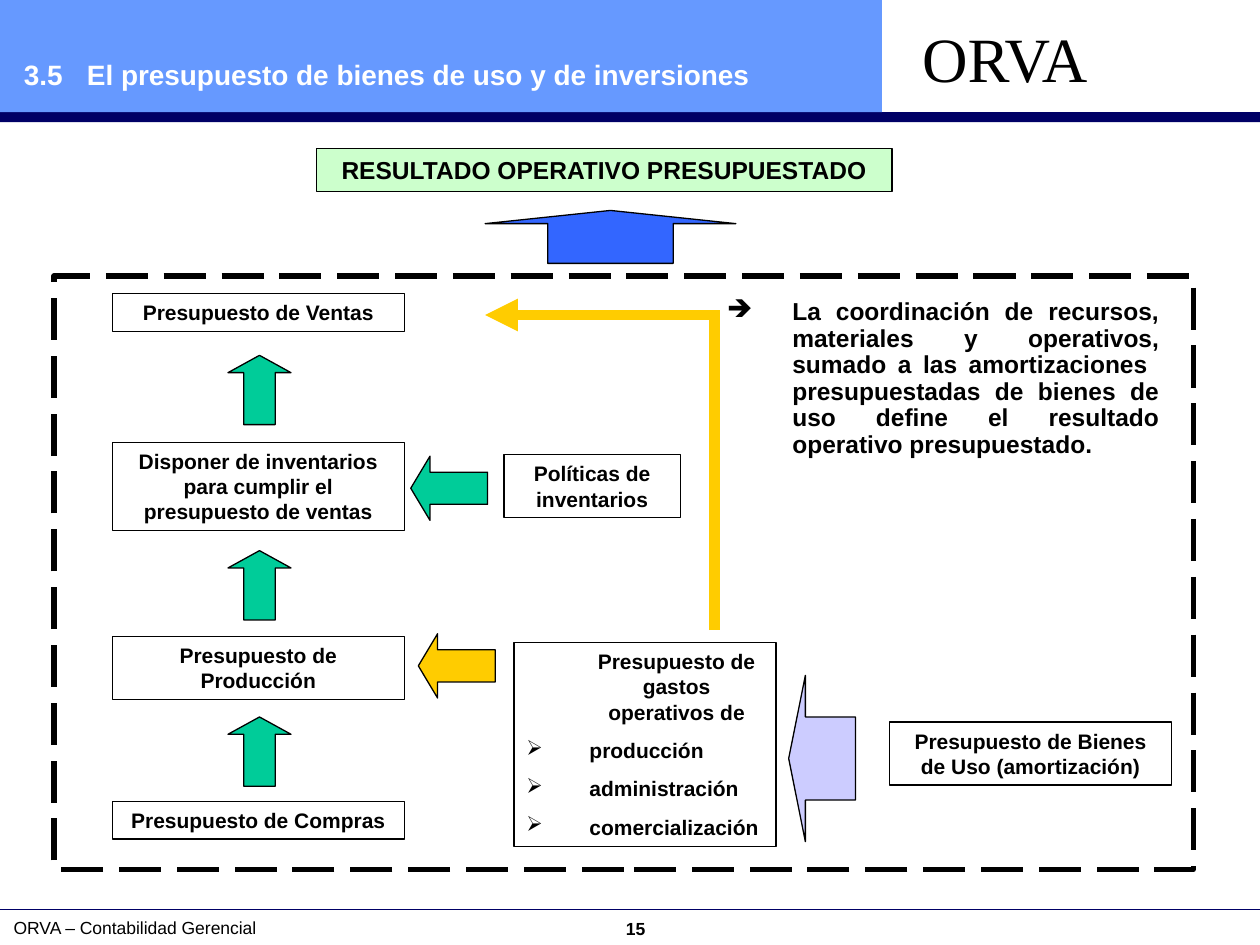
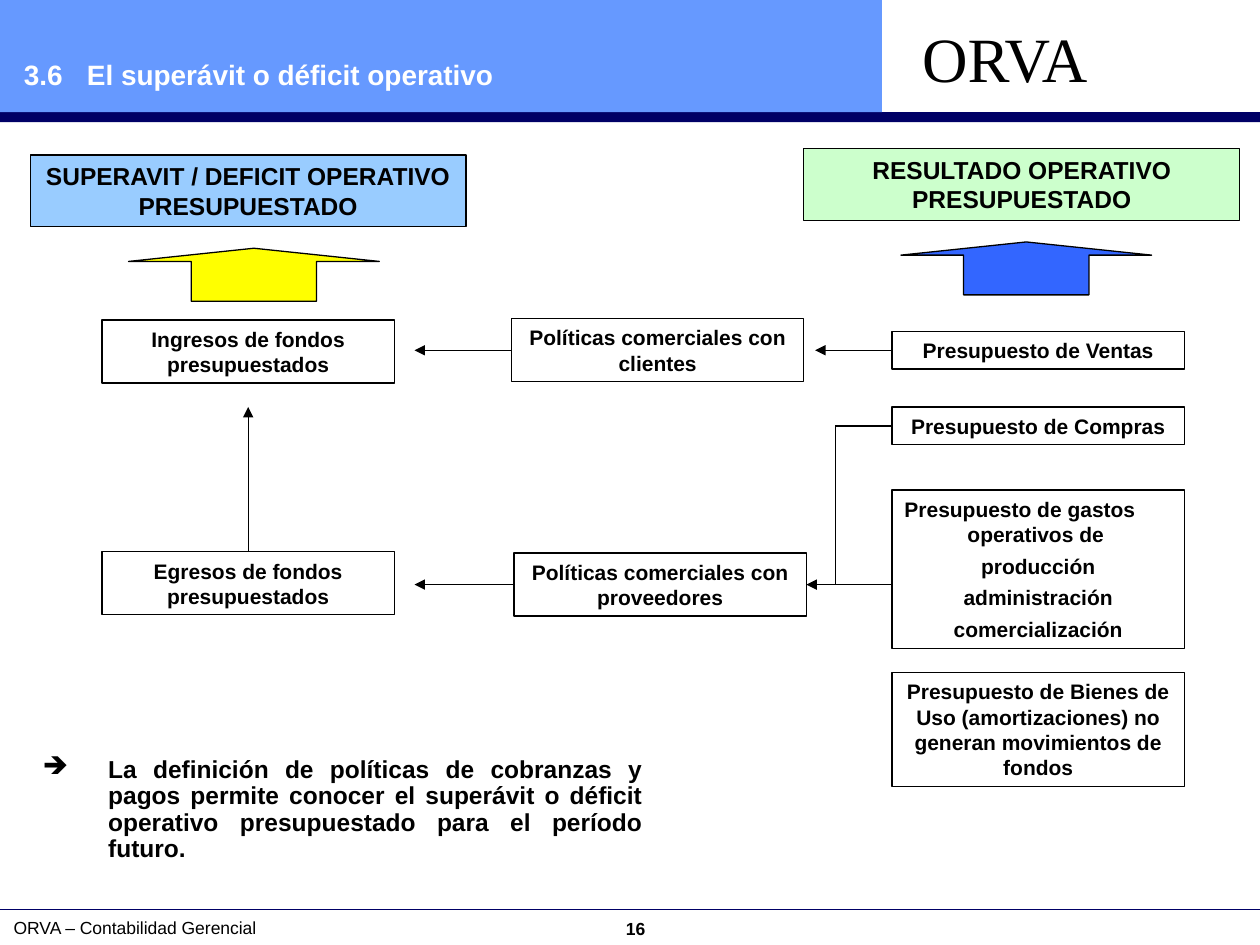
import pptx
import pptx.util
import pptx.dml.color
import pptx.enum.dml
import pptx.enum.shapes
import pptx.enum.text
import pptx.oxml.ns
import lxml.etree

Inches = pptx.util.Inches
Pt = pptx.util.Pt
RGBColor = pptx.dml.color.RGBColor
qn = pptx.oxml.ns.qn
SHAPE = pptx.enum.shapes.MSO_SHAPE
ALIGN = pptx.enum.text.PP_ALIGN

BLACK = RGBColor(0x00, 0x00, 0x00)
WHITE = RGBColor(0xFF, 0xFF, 0xFF)
NAVY = RGBColor(0x00, 0x00, 0x66)
SKY = RGBColor(0x66, 0x99, 0xFF)
BLUE = RGBColor(0x33, 0x66, 0xFF)
PALE_BLUE = RGBColor(0x99, 0xCC, 0xFF)
MINT = RGBColor(0xCC, 0xFF, 0xCC)
GREEN = RGBColor(0x00, 0xCC, 0x99)
GOLD = RGBColor(0xFF, 0xCC, 0x00)
YELLOW = RGBColor(0xFF, 0xFF, 0x00)
LILAC = RGBColor(0xCC, 0xCC, 0xFF)


def write(box, text, size, align=ALIGN.CENTER, bold=True, color=BLACK,
          font="Arial", before=0, indent=0, bullet=None):
    frame = box.text_frame
    frame.text = text
    frame.word_wrap = True
    frame.auto_size = pptx.enum.text.MSO_AUTO_SIZE.NONE
    frame.vertical_anchor = pptx.enum.text.MSO_ANCHOR.TOP
    frame.margin_left = frame.margin_right = Inches(0.1)
    frame.margin_top = frame.margin_bottom = Inches(0.05)
    for number, para in enumerate(frame.paragraphs):
        para.alignment = align
        para.space_before = Pt(before if number else 0)
        if indent:
            properties = para._p.get_or_add_pPr()
            properties.set("marL", str(Inches(indent)))
            properties.set("indent", str(-Inches(indent)))
            if bullet:
                mark = lxml.etree.SubElement(properties, qn("a:buChar"))
                mark.set("char", bullet)
        for span in para.runs:
            span.font.name = font
            span.font.size = Pt(size)
            span.font.bold = bold
            span.font.color.rgb = color


def draw_line(page, start, end, color=BLACK, width=0.75, arrow=False):
    line = page.shapes.add_connector(
        pptx.enum.shapes.MSO_CONNECTOR.STRAIGHT,
        *[Inches(value) for value in (*start, *end)])
    line.line.color.rgb = color
    line.line.width = Pt(width)
    if arrow:
        tail = lxml.etree.SubElement(line.line._get_or_add_ln(), qn("a:tailEnd"))
        tail.set("type", "triangle")
    lxml.etree.SubElement(line._element.spPr, qn("a:effectLst"))
    return line


deck = pptx.Presentation()
deck.slide_width = Inches(10)
deck.slide_height = Inches(7.5)

pages = []
for number, heading in (
    (15, "3.5\tEl presupuesto de bienes de uso y de inversiones"),
    (16, "3.6\tEl superávit o déficit operativo"),
):
    page = deck.slides.add_slide(deck.slide_layouts[5])
    for left, top, width, height, color in ((0, 0.89, 10, 0.08, NAVY), (0, 0, 7, 0.89, SKY)):
        band = page.shapes.add_shape(
            SHAPE.RECTANGLE, Inches(left), Inches(top), Inches(width), Inches(height))
        band.shadow.inherit = False
        band.fill.solid()
        band.fill.fore_color.rgb = color
        band.line.fill.background()
    draw_line(page, (0, 7.22), (10, 7.22), NAVY)

    title = page.shapes.title
    title.left, title.top = Inches(0.09), Inches(0.41)
    title.width, title.height = Inches(6.83), Inches(0.37)
    write(title, heading, 16, ALIGN.LEFT, color=WHITE, indent=0.5)
    title._element.getparent().append(title._element)

    for at, text, style in (
        ((0.07, 7.24, 9.95, 0.27), str(number), dict(size=10)),
        ((0.01, 7.23, 4.08, 0.27), "ORVA – Contabilidad Gerencial",
         dict(size=10, align=ALIGN.LEFT, bold=False)),
        ((7.22, 0.11, 1.6, 0.7), "ORVA",
         dict(size=36, align=ALIGN.LEFT, bold=False, font="Times New Roman")),
    ):
        box = page.shapes.add_textbox(*[Inches(value) for value in at])
        write(box, text, **style)
    pages.append(page)

investment, surplus = pages

for page, at, text in (
    (investment, (5.67, 2.33, 3.63, 2.4),
     "La coordinación de recursos, materiales y operativos, sumado a las amortizaciones  "
     "presupuestadas de bienes de uso define el resultado operativo presupuestado."),
    (surplus, (0.24, 5.96, 4.96, 1.22),
     "La definición de políticas de cobranzas y pagos permite conocer el superávit o "
     "déficit operativo presupuestado para el período futuro."),
):
    message = page.shapes.add_textbox(*[Inches(value) for value in at])
    write(message, text, 14, ALIGN.JUSTIFY, indent=0.52, bullet="➔")
    message.text_frame.paragraphs[0].line_spacing = 0.9

boxes = {}
for page, name, at, text, size, fill in (
    (investment, "result", (2.51, 1.18, 4.57, 0.34), "RESULTADO OPERATIVO PRESUPUESTADO", 14, MINT),
    (investment, "sales", (0.89, 2.33, 2.32, 0.3), "Presupuesto de Ventas", 12, None),
    (investment, "stock", (0.89, 3.51, 2.32, 0.7),
     "Disponer de inventarios para cumplir el presupuesto de ventas", 12, None),
    (investment, "production", (0.89, 5.05, 2.32, 0.5), "Presupuesto de Producción", 12, None),
    (investment, "purchases", (0.89, 6.36, 2.32, 0.3), "Presupuesto de Compras", 12, None),
    (investment, "stock policy", (4, 3.61, 1.4, 0.5), "Políticas de inventarios", 12, None),
    (investment, "expenses", (4.08, 5.1, 2.08, 1.62),
     "\tPresupuesto de gastos operativos de\nproducción\nadministración\ncomercialización", 12, None),
    (investment, "assets", (7.06, 5.73, 2.24, 0.5),
     "Presupuesto de Bienes de Uso (amortización)", 12, None),
    (investment, "frame", (0.43, 2.19, 9.04, 4.71), "", 12, None),
    (surplus, "balance", (0.24, 1.23, 3.46, 0.57),
     "SUPERAVIT / DEFICIT OPERATIVO PRESUPUESTADO", 14, PALE_BLUE),
    (surplus, "result", (6.38, 1.18, 3.46, 0.57), "RESULTADO OPERATIVO PRESUPUESTADO", 14, MINT),
    (surplus, "income", (0.81, 2.54, 2.32, 0.5), "Ingresos de fondos presupuestados", 12, None),
    (surplus, "outlay", (0.81, 4.38, 2.32, 0.5), "Egresos de fondos presupuestados", 12, None),
    (surplus, "clients", (4.06, 2.53, 2.32, 0.5), "Políticas comerciales con clientes", 12, None),
    (surplus, "suppliers", (4.08, 4.39, 2.32, 0.5),
     "Políticas comerciales con proveedores", 12, None),
    (surplus, "sales", (7.08, 2.63, 2.32, 0.3), "Presupuesto de Ventas", 12, None),
    (surplus, "purchases", (7.08, 3.23, 2.32, 0.3), "Presupuesto de Compras", 12, None),
    (surplus, "expenses", (7.08, 3.89, 2.32, 1.26),
     "Presupuesto de gastos operativos de\nproducción\nadministración\ncomercialización", 12, None),
    (surplus, "assets", (7.08, 5.34, 2.32, 0.9),
     "Presupuesto de Bienes de Uso (amortizaciones) no generan movimientos de fondos", 12, None),
):
    box = page.shapes.add_shape(SHAPE.RECTANGLE, *[Inches(value) for value in at])
    box.shadow.inherit = False
    box.line.color.rgb = BLACK
    box.line.width = Pt(0.75)
    if fill:
        box.fill.solid()
        box.fill.fore_color.rgb = fill
    else:
        box.fill.background()
    if text:
        write(box, text, size)
    boxes[page.slide_id, name] = box

frame = boxes[investment.slide_id, "frame"]
frame.line.width = Pt(3)
frame.line.dash_style = pptx.enum.dml.MSO_LINE.LONG_DASH

expenses = boxes[investment.slide_id, "expenses"]
write(expenses, expenses.text_frame.text, 12, ALIGN.LEFT, before=7.5, indent=0.5, bullet="➢")
heading = expenses.text_frame.paragraphs[0]
heading.alignment = ALIGN.CENTER
heading._p.pPr.remove(heading._p.pPr.find(qn("a:buChar")))

expenses = boxes[surplus.slide_id, "expenses"]
write(expenses, expenses.text_frame.text, 12, before=3.7, indent=0.5)
expenses.text_frame.paragraphs[0].alignment = ALIGN.LEFT

for page, kind, at, head, fill in (
    *[(investment, SHAPE.UP_ARROW, (1.81, top, 0.5, 0.55), 0.275, GREEN)
      for top in (2.82, 4.37, 5.69)],
    (investment, SHAPE.LEFT_ARROW, (3.26, 3.62, 0.61, 0.51), 0.3, GREEN),
    (investment, SHAPE.LEFT_ARROW, (3.32, 5.03, 0.61, 0.51), 0.3, GOLD),
    (investment, SHAPE.LEFT_ARROW, (6.26, 5.36, 0.53, 1.32), 0.25, LILAC),
    (investment, SHAPE.UP_ARROW, (3.85, 1.67, 1.99, 0.42), 0.25, BLUE),
    (surplus, SHAPE.UP_ARROW, (7.15, 1.92, 1.99, 0.42), 0.25, BLUE),
    (surplus, SHAPE.UP_ARROW, (1.02, 1.97, 1.99, 0.42), 0.25, YELLOW),
):
    arrow = page.shapes.add_shape(kind, *[Inches(value) for value in at])
    arrow.shadow.inherit = False
    arrow.adjustments[0] = 0.5
    arrow.adjustments[1] = head
    arrow.fill.solid()
    arrow.fill.fore_color.rgb = fill
    arrow.line.color.rgb = BLACK
    arrow.line.width = Pt(0.75)

draw_line(investment, (5.67, 2.5), (3.85, 2.5), GOLD, 6.25, arrow=True)
draw_line(investment, (5.67, 5), (5.67, 2.46), GOLD, 6)

for start, end, arrow, source, side in (
    ((7.08, 2.78), (6.47, 2.78), True, "sales", 1),
    ((4.06, 2.78), (3.29, 2.78), True, "clients", 1),
    ((4.08, 4.64), (3.29, 4.64), True, "suppliers", 1),
    ((1.97, 4.38), (1.97, 3.23), True, "outlay", 0),
    ((7.08, 3.38), (6.63, 3.38), False, "purchases", 1),
    ((6.63, 3.38), (6.63, 4.64), False, None, None),
    ((7.08, 4.64), (6.63, 4.64), False, None, None),
):
    link = draw_line(surplus, start, end, arrow=arrow)
    if source:
        link.begin_connect(boxes[surplus.slide_id, source], side)
payment = draw_line(surplus, (6.63, 4.64), (6.4, 4.64), arrow=True)
payment.end_connect(boxes[surplus.slide_id, "suppliers"], 3)

deck.save("out.pptx")
